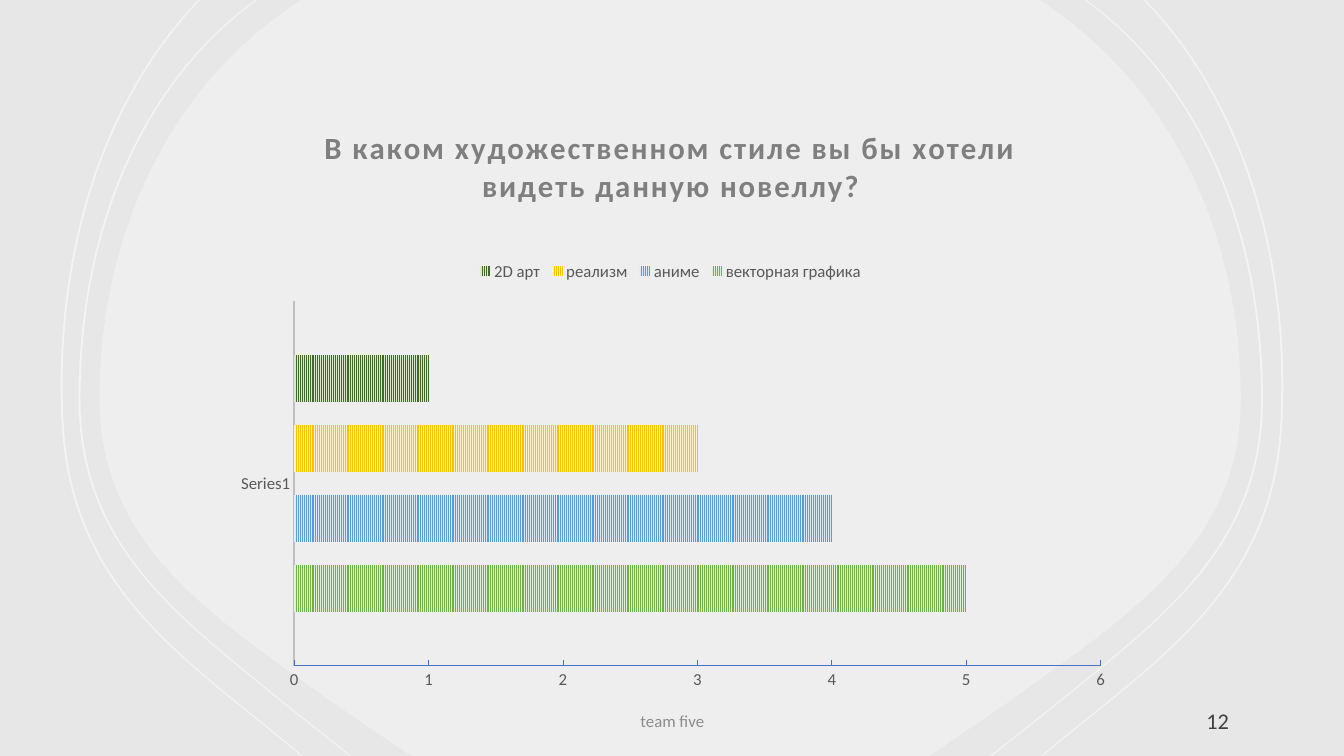
from lxml import etree
from pptx import Presentation
from pptx import util as u
from pptx.chart.data import CategoryChartData
from pptx.dml.color import RGBColor
from pptx.enum import chart as ch, dml, shapes, text
from pptx.oxml.ns import qn

WHITE = RGBColor(0xFF, 0xFF, 0xFF)
BACKDROP = RGBColor(0xE7, 0xE7, 0xE7)
TITLE_GREY = RGBColor(0x7F, 0x7F, 0x7F)
LABEL_GREY = RGBColor(0x59, 0x59, 0x59)
NUMBER_GREY = RGBColor(0x40, 0x40, 0x40)
FOOTER_GREY = RGBColor(0x8C, 0x8C, 0x8C)
AXIS_GREY = RGBColor(0xBF, 0xBF, 0xBF)
AXIS_BLUE = RGBColor(0x44, 0x72, 0xC4)

STYLES = [
    ("векторная графика", 5, RGBColor(0x70, 0xAD, 0x47), RGBColor(0xE2, 0xF0, 0xD9)),
    ("аниме", 4, RGBColor(0x5B, 0x9B, 0xD5), RGBColor(0xDE, 0xEB, 0xF7)),
    ("реализм", 3, RGBColor(0xFF, 0xC0, 0x00), RGBColor(0xFF, 0xF2, 0xCC)),
    ("2D арт", 1, RGBColor(0x43, 0x68, 0x2B), RGBColor(0xD8, 0xEA, 0xCB)),
]

EGG = [(7.59, 0), (4.32, 2.11), (2.51, 5.82), (2.51, 10.06),
       (2.51, 13.79), (5.44, 15.57), (8.38, 17.7), (10.36, 19.05)]
INNER_RING = [(6.43, 0), (3.53, 2.11), (1.98, 5.82), (1.98, 10.06),
              (1.98, 13.79), (4.52, 15.57), (7.11, 17.7), (8.81, 19.05)]
OUTER_RING = [(5, 0), (2.62, 2.46), (1.35, 6.3), (1.55, 10.59),
              (1.73, 14.61), (4.32, 16.38), (7.01, 18.57), (7.59, 19.05)]
CURVE_STARTS = (0, 3, 9, 12)


def shift(points, distance):
    return [(x + distance, y) for x, y in points]


def mirror(points, width):
    return [(width - x, y) for x, y in points]


class SlideBuilder:
    font = "Calibri"

    def __init__(self, page):
        self.page = page

    def style_font(self, font, size, color):
        font.name = self.font
        font.size = u.Pt(size)
        font.color.rgb = color

    def paint(self, shape, color, opacity=100):
        shape.shadow.inherit = False
        shape.fill.solid()
        shape.fill.fore_color.rgb = color
        shape.line.fill.background()
        if opacity < 100:
            tint = shape.fill._xPr.find(qn("a:solidFill"))[0]
            etree.SubElement(tint, qn("a:alpha")).set("val", str(opacity * 1000))

    def rectangle(self, left, top, width, height, color):
        shape = self.page.shapes.add_shape(
            shapes.MSO_SHAPE.RECTANGLE, u.Cm(left), u.Cm(top), u.Cm(width), u.Cm(height))
        self.paint(shape, color)

    def outline(self, points, opacity):
        corners = [(u.Cm(x), u.Cm(y)) for x, y in points]
        builder = self.page.shapes.build_freeform(*corners[0])
        builder.add_line_segments(corners[1:], close=True)
        shape = builder.convert_to_shape()
        lines = list(shape._element.iter(qn("a:lnTo")))
        for start in CURVE_STARTS:
            curve = etree.Element(qn("a:cubicBezTo"))
            lines[start].addprevious(curve)
            for line in lines[start:start + 3]:
                curve.append(line[0])
                line.getparent().remove(line)
        self.paint(shape, WHITE, opacity)

    def label(self, words, left, top, width, height, size, color, align, after=0):
        box = self.page.shapes.add_textbox(u.Cm(left), u.Cm(top), u.Cm(width), u.Cm(height))
        frame = box.text_frame
        frame.word_wrap = True
        frame.vertical_anchor = text.MSO_ANCHOR.MIDDLE
        frame.text = words
        para = frame.paragraphs[0]
        para.alignment = align
        para.space_after = u.Pt(after)
        self.style_font(para.runs[0].font, size, color)

    def place(self, element, inner, **fractions):
        old = element.find(qn("c:layout"))
        layout = etree.Element(qn("c:layout"))
        manual = etree.SubElement(layout, qn("c:manualLayout"))
        settings = {"xMode": "edge", "yMode": "edge", **fractions}
        if inner:
            settings = {"layoutTarget": "inner", **settings}
        for name, value in settings.items():
            etree.SubElement(manual, qn("c:" + name)).set("val", str(value))
        if old is not None:
            element.replace(old, layout)
        elif inner:
            element.insert(0, layout)
        else:
            element.find(qn("c:legendPos")).addnext(layout)

    def axis(self, axis, color, width, tick):
        axis.has_major_gridlines = False
        axis.major_tick_mark = tick
        axis.minor_tick_mark = ch.XL_TICK_MARK.NONE
        axis.format.line.color.rgb = color
        axis.format.line.width = u.Pt(width)
        self.style_font(axis.tick_labels.font, 12, LABEL_GREY)

    def bar_chart(self, title, rows, left, top, width, height):
        data = CategoryChartData(number_format="General")
        data.categories = [""]
        for name, value, _, _ in rows:
            data.add_series(name, [value])
        chart = self.page.shapes.add_chart(
            ch.XL_CHART_TYPE.BAR_CLUSTERED,
            u.Cm(left), u.Cm(top), u.Cm(width), u.Cm(height), data).chart
        self.style_font(chart.font, 10, RGBColor(0, 0, 0))

        chart.has_title = True
        frame = chart.chart_title.text_frame
        frame.text = title
        span = frame.paragraphs[0].runs[0]
        self.style_font(span.font, 22, TITLE_GREY)
        span.font.bold = True
        span._r.get_or_add_rPr().set("spc", "150")
        chart.chart_title.include_in_layout = False

        chart.has_legend = True
        chart.legend.position = ch.XL_LEGEND_POSITION.TOP
        chart.legend.include_in_layout = False
        self.style_font(chart.legend.font, 12, LABEL_GREY)

        self.axis(chart.category_axis, AXIS_GREY, 1.5, ch.XL_TICK_MARK.NONE)
        self.axis(chart.value_axis, AXIS_BLUE, 0.75, ch.XL_TICK_MARK.INSIDE)
        chart.value_axis.minimum_scale = 0
        chart.value_axis.maximum_scale = 6
        chart.value_axis.major_unit = 1

        plot = chart.plots[0]
        plot.vary_by_categories = False
        plot.gap_width = 227
        plot.overlap = -48
        for series, (_, _, front, back) in zip(plot.series, rows):
            fill = series.format.fill
            fill.patterned()
            fill.pattern = dml.MSO_PATTERN.NARROW_VERTICAL
            fill.fore_color.rgb = front
            fill.back_color.rgb = back

        area = chart._chartSpace.chart.plotArea
        for names in area.iter(qn("c:cat")):
            for point in list(names.iter(qn("c:pt"))):
                point.getparent().remove(point)
        self.place(area, True, x=0.08, y=0.33, w=0.9, h=0.61)
        self.place(chart.legend._element, False, x=0.28, y=0.25, w=0.44, h=0.06)


def main():
    deck = Presentation()
    deck.slide_width = u.Cm(33.87)
    deck.slide_height = u.Cm(19.05)
    page = deck.slides.add_slide(deck.slide_layouts[6])
    builder = SlideBuilder(page)

    builder.rectangle(0, 0, 33.87, 19.05, BACKDROP)
    builder.outline(EGG + mirror(EGG, 33.78)[::-1], 30)
    for edge, width in ((INNER_RING, 33.81), (OUTER_RING, 33.87)):
        ring = edge + shift(edge, 0.05)[::-1]
        builder.outline(ring, 50)
        builder.outline(mirror(ring, width), 50)

    builder.label("12", 30.15, 17.65, 3.3, 1.02, 16, NUMBER_GREY, text.PP_ALIGN.LEFT, 6)
    builder.bar_chart("В каком художественном стиле вы бы хотели видеть данную новеллу?",
                      STYLES, 5.61, 2.62, 22.58, 15.06)
    builder.label("team five", 11.23, 17.65, 11.43, 1.02, 12, FOOTER_GREY, text.PP_ALIGN.CENTER)
    deck.save("out.pptx")


if __name__ == "__main__":
    main()
